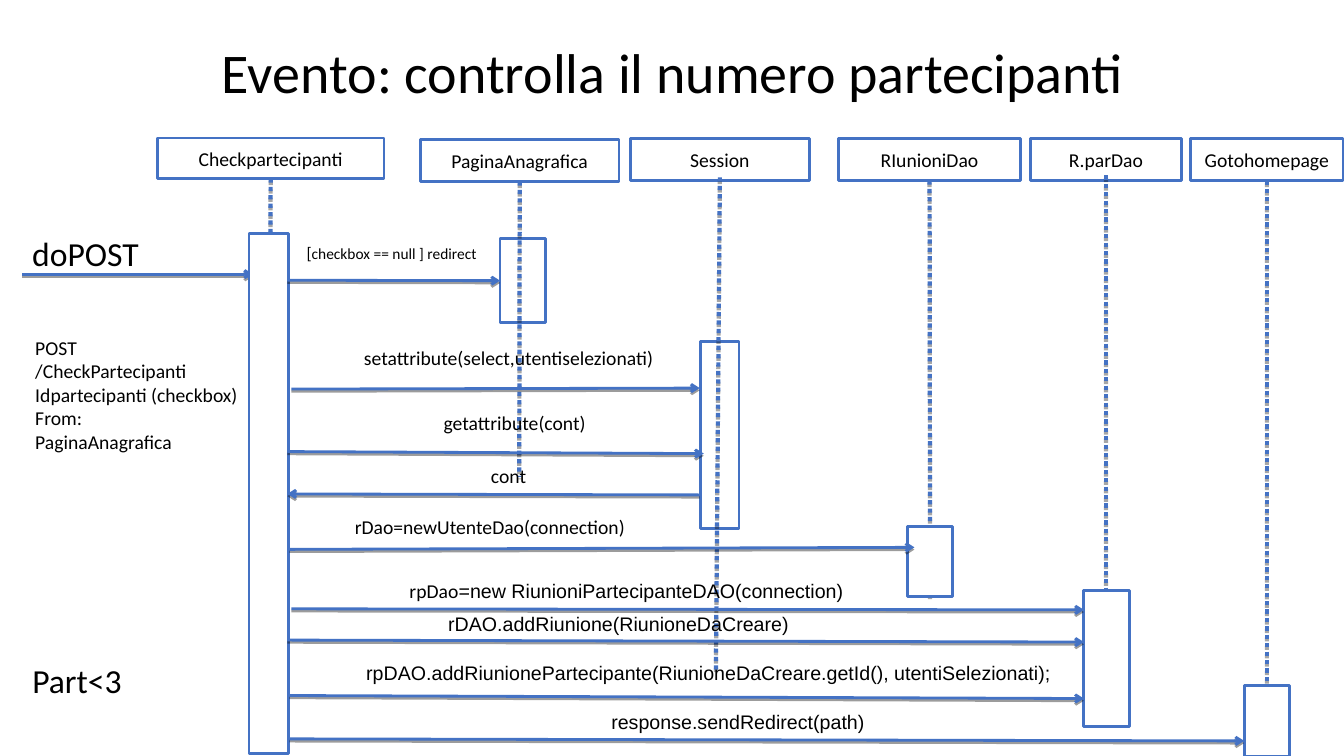
from collections import namedtuple

from lxml.etree import SubElement
from pptx import Presentation
from pptx.dml.color import RGBColor
from pptx.enum.dml import MSO_LINE
from pptx.enum.shapes import MSO_CONNECTOR, MSO_SHAPE
from pptx.enum.text import MSO_ANCHOR, PP_ALIGN
from pptx.oxml.ns import qn
from pptx.util import Emu, Pt

Box = namedtuple("Box", "left top width height")
Participant = namedtuple("Participant", "name head overlap end bar line_on_top")
Message = namedtuple("Message", "spans label arrow")

PX = 9144
BLUE = "4472C4"
WHITE = "FFFFFF"
BLACK = "000000"
LABEL_HEIGHT = 37
BOTTOM = 2
LEFT = 1

PARTICIPANTS = [
    Participant("Checkpartecipanti", Box(0, 0, 225, 40), 0, (110, 515), Box(91, 95, 39, 516), False),
    Participant("PaginaAnagrafica", Box(261, 1, 197, 42), 0, (359, 336), Box(340, 100, 45, 83), True),
    Participant("Session", Box(469, 0, 178, 42), 3, (554, 531), Box(539, 202, 38, 185), True),
    Participant("RIunioniDao", Box(676, 0, 180, 42), 0, None, Box(744, 385, 45, 70), False),
    Participant("R.parDao", Box(866, 0, 150, 42), 5, (941, 487), Box(919, 449, 45, 135), False),
    Participant("Gotohomepage", Box(1025, 0, 151, 42), 0, None, Box(1078, 543, 45, 70), False),
]

MESSAGES = [
    Message([("[", "Calibri", 12), ("checkbox == null ] redirect", "Calibri", 11)],
            (-32, 0, 271), (0, 44, 211, 44)),
    Message([("setattribute(select,utentiselezionati)", "Calibri", 14)],
            (21, 102, 397), (4, 152, 409, 151)),
    Message([("getattribute(cont)", "Calibri", 14)],
            (27, 167, 397), (0, 214, 413, 216)),
    Message([("cont", "Calibri", 14)],
            (21, 219, 397), (409, 257, 0, 256)),
    Message([("rDao=newUtenteDao(connection)", "Calibri", 14)],
            (43, 270, 316), (2, 311, 622, 309)),
    Message([("rpDao", "Calibri", 14), ("=new RiunioniPartecipanteDAO(connection)", "Arial", 14)],
            (62, 333, 549), (4, 370, 790, 371)),
    Message([("rDAO.addRiunione(RiunioneDaCreare)", "Arial", 14)],
            (54, 366, 549), (0, 401, 790, 403)),
    Message([("rpDAO.addRiunionePartecipante(RiunioneDaCreare.getId(), utentiSelezionati);", "Arial", 14)],
            (-12, 415, 860), (2, 456, 790, 459)),
    Message([("response.sendRedirect(path)", "Arial", 14)],
            (17, 463, 860), (2, 499, 949, 501)),
]


def px(length):
    return Emu(round(length * PX))


def color(value):
    return RGBColor.from_string(value)


def within(region, box):
    return Box(region.left + box.left, region.top + box.top, box.width, box.height)


def write_spans(para, spans, align):
    para.alignment = align
    for text, font, size in spans:
        span = para.add_run()
        span.text = text
        span.font.name = font
        span.font.size = Pt(size)
        span.font.color.rgb = color(BLACK)


def set_frame(frame, anchor):
    frame.word_wrap = True
    frame.vertical_anchor = anchor
    frame.margin_left = frame.margin_right = px(13)
    frame.margin_top = frame.margin_bottom = px(7)


def add_text(page, box, text, size=14, font="Calibri", align=PP_ALIGN.LEFT,
             anchor=MSO_ANCHOR.TOP, spans=None):
    frame = page.shapes.add_textbox(*map(px, box)).text_frame
    set_frame(frame, anchor)
    for index, line in enumerate(text.split("\n")):
        para = frame.add_paragraph() if index else frame.paragraphs[0]
        write_spans(para, spans or [(line, font, size)], align)


def add_rectangle(page, box, text=""):
    shape = page.shapes.add_shape(MSO_SHAPE.RECTANGLE, *map(px, box))
    shape.shadow.inherit = False
    shape.fill.solid()
    shape.fill.fore_color.rgb = color(WHITE)
    shape.line.color.rgb = color(BLUE)
    shape.line.width = Pt(2)
    if text:
        set_frame(shape.text_frame, MSO_ANCHOR.MIDDLE)
        write_spans(shape.text_frame.paragraphs[0], [(text, "Calibri", 14)], PP_ALIGN.CENTER)
    return shape


def add_line(page, ends, width, opacity, distance):
    line = page.shapes.add_connector(MSO_CONNECTOR.STRAIGHT, *map(px, ends))
    line.line.color.rgb = color(BLUE)
    line.line.width = Pt(width)
    effects = SubElement(line._element.spPr, qn("a:effectLst"))
    shadow = SubElement(effects, qn("a:outerShdw"), blurRad="0", dist=str(Pt(distance)),
                        dir="5400000", rotWithShape="0")
    shade = SubElement(shadow, qn("a:srgbClr"), val=BLACK)
    SubElement(shade, qn("a:alpha"), val=str(opacity * 1000))
    return line


def add_arrow(page, ends):
    arrow = add_line(page, ends, 2, 38, 1.6)
    SubElement(arrow.line._get_or_add_ln(), qn("a:tailEnd"), type="arrow")
    return arrow


def add_lifeline(page, ends):
    lifeline = add_line(page, ends, 3, 35, 1.8)
    lifeline.line.dash_style = MSO_LINE.ROUND_DOT
    return lifeline


def add_title(page, region):
    add_text(page, region, "Evento: controlla il numero partecipanti", size=40,
             align=PP_ALIGN.CENTER, anchor=MSO_ANCHOR.MIDDLE)


def add_request(page, region):
    add_arrow(page, (region.left + 3, region.top + 48, region.left + 232, region.top + 48))
    add_text(page, within(region, Box(0, 0, 134, 40)), "doPOST", size=24)
    add_text(page, within(region, Box(3, 102, 257, 226)),
             "POST\n/CheckPartecipanti\nIdpartecipanti (checkbox)\nFrom:\nPaginaAnagrafica")
    add_text(page, within(region, Box(0, 424, 262, 43)), "Part<3", size=24)


def add_participant(page, region, participant):
    head_box = within(region, participant.head)
    bar_box = within(region, participant.bar)
    head = add_rectangle(page, head_box, participant.name)
    if participant.line_on_top:
        bar = add_rectangle(page, bar_box)
    start = (head_box.left + head_box.width / 2,
             head_box.top + head_box.height - participant.overlap)
    if participant.end:
        end = (region.left + participant.end[0], region.top + participant.end[1])
    else:
        end = (bar_box.left + bar_box.width / 2, bar_box.top + bar_box.height)
    lifeline = add_lifeline(page, start + end)
    if not participant.overlap:
        lifeline.begin_connect(head, BOTTOM)
    if not participant.line_on_top:
        bar = add_rectangle(page, bar_box)
    if not participant.end:
        lifeline.end_connect(bar, BOTTOM)
    return bar


def add_participants(page, region):
    return {participant.name: add_participant(page, region, participant)
            for participant in PARTICIPANTS}


def add_messages(page, region, bars):
    for index, message in enumerate(MESSAGES):
        left, top, right, bottom = message.arrow
        arrow = add_arrow(page, (region.left + left, region.top + top,
                                 region.left + right, region.top + bottom))
        if index == 0:
            arrow.end_connect(bars["PaginaAnagrafica"], LEFT)
        add_text(page, within(region, Box(*message.label, LABEL_HEIGHT)), "",
                 align=PP_ALIGN.CENTER, spans=message.spans)


def main():
    deck = Presentation()
    deck.slide_width = px(1333)
    deck.slide_height = px(750)
    page = deck.slides.add_slide(deck.slide_layouts[6])
    add_title(page, Box(67, 8, 1200, 125))
    add_request(page, Box(19, 224, 262, 467))
    bars = add_participants(page, Box(156, 137, 1176, 613))
    add_messages(page, Box(285, 234, 949, 501), bars)
    deck.save("out.pptx")


if __name__ == "__main__":
    main()
